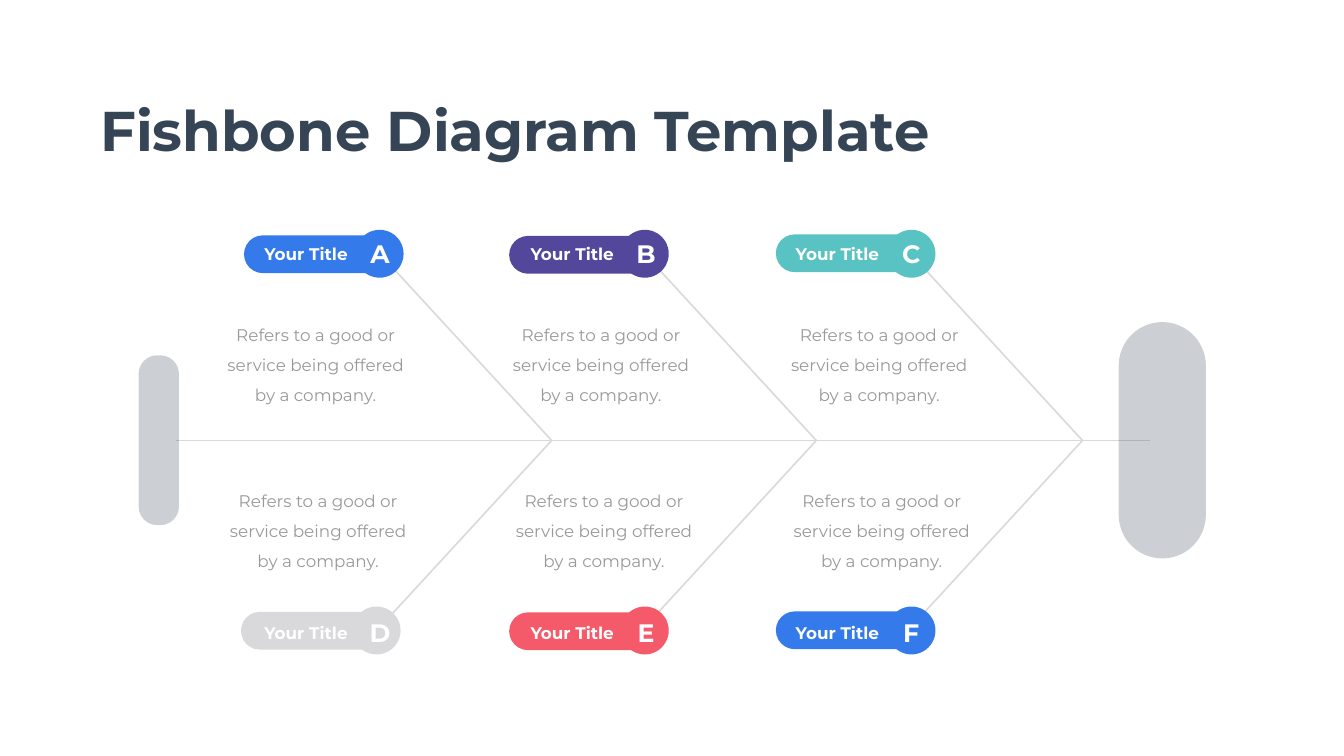
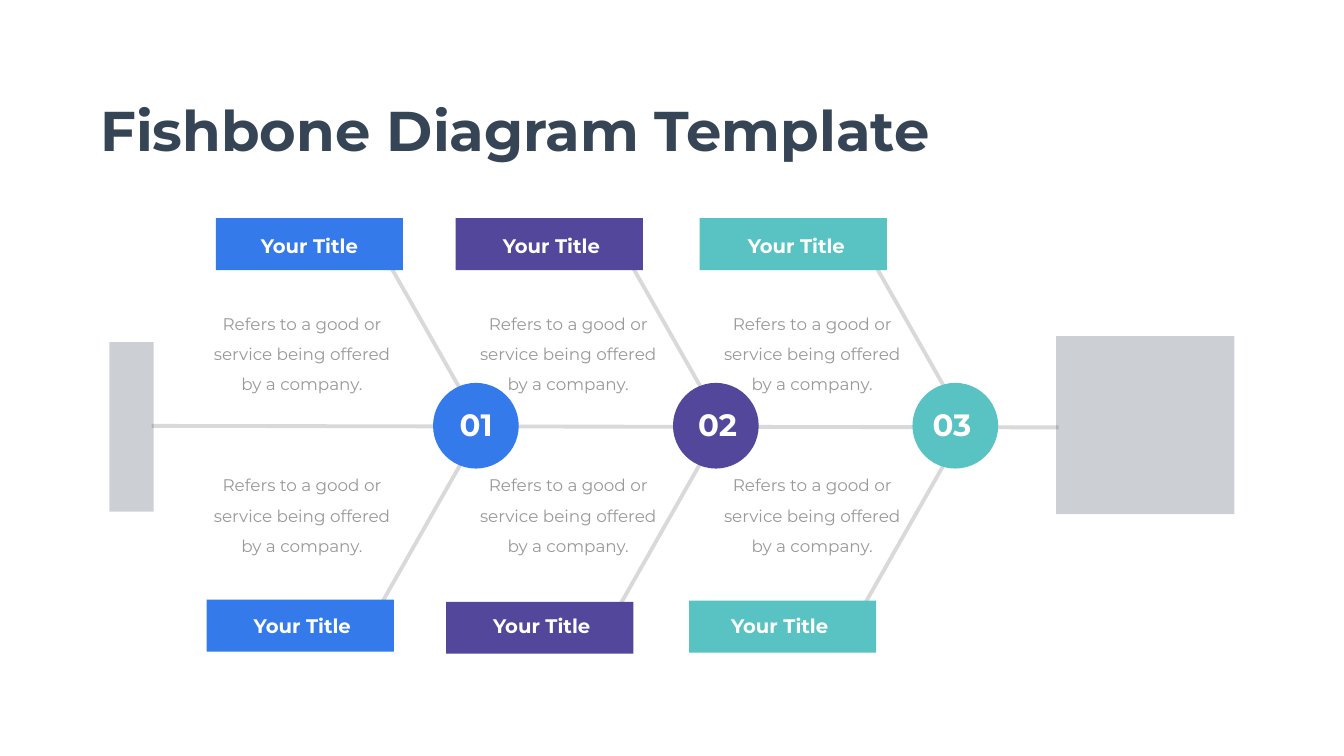
from lxml import etree
from pptx import Presentation
from pptx.dml.color import RGBColor
from pptx.enum.shapes import MSO_CONNECTOR, MSO_SHAPE
from pptx.enum.text import MSO_AUTO_SIZE, PP_ALIGN
from pptx.oxml.ns import qn
from pptx.util import Pt

STRAIGHT = MSO_CONNECTOR.STRAIGHT
OVAL = MSO_SHAPE.OVAL
RECTANGLE = MSO_SHAPE.RECTANGLE
ROUNDED = MSO_SHAPE.ROUNDED_RECTANGLE
GROW = MSO_AUTO_SIZE.SHAPE_TO_FIT_TEXT
LEFT = PP_ALIGN.LEFT
CENTER = PP_ALIGN.CENTER

NAVY = RGBColor(0x36, 0x45, 0x56)
BLUE = RGBColor(0x34, 0x7A, 0xEB)
PURPLE = RGBColor(0x52, 0x47, 0x9B)
TEAL = RGBColor(0x58, 0xC3, 0xC2)
RED = RGBColor(0xF4, 0x5A, 0x69)
SILVER = RGBColor(0xD9, 0xD8, 0xDA)
BONE = RGBColor(0xD9, 0xD9, 0xD9)
GRAY = RGBColor(0x99, 0x99, 0x99)
WHITE = RGBColor(0xFF, 0xFF, 0xFF)

FONT = "Montserrat"
TITLE = "Fishbone Diagram Template"
LABEL = "Your Title"
DESCRIPTION = "Refers to a good or service being offered by a company."


def add_block(slide, kind, box, color, opacity=100, corner=0.5):
    shape = slide.shapes.add_shape(kind, *[Pt(value) for value in box])
    shape.shadow.inherit = False
    shape.fill.solid()
    shape.fill.fore_color.rgb = color
    shape.line.fill.background()
    if kind == ROUNDED:
        shape.adjustments[0] = corner
    if opacity < 100:
        color_element = shape._element.spPr.find(qn("a:solidFill"))[0]
        etree.SubElement(color_element, qn("a:alpha"), val=str(opacity * 1000))


def add_text(slide, text, box, size, color=WHITE, bold=True, align=CENTER, wrap=True):
    text_box = slide.shapes.add_textbox(*[Pt(value) for value in box])
    frame = text_box.text_frame
    frame.word_wrap = wrap
    frame.auto_size = GROW
    paragraph = frame.paragraphs[0]
    paragraph.alignment = align
    run = paragraph.add_run()
    run.text = text
    run.font.name = FONT
    run.font.size = Pt(size)
    run.font.bold = bold
    run.font.color.rgb = color
    return text_box


presentation = Presentation()
presentation.slide_width = Pt(1919.5)
presentation.slide_height = Pt(1080)

diagrams = [
    {
        "spine": (1642.3, 629.3, 251.3, 629.3),
        "weight": 2.3,
        "ribs": [(1301, 362.9), (920.9, 362.9), (542.9, 362.9)],
        "rib_size": (245, 532.8),
        "ends": ROUNDED,
        "tail": (198, 507.6, 57.6, 242.6),
        "head": (1597.7, 460.1, 124.6, 337.7),
        "descriptions": [
            (440.6, (301.7, 709.2, 1106.6)),
            (678.2, (305.3, 713.5, 1110.2)),
        ],
    },
    {
        "spine": (1512, 610.6, 216.7, 608.4),
        "weight": 5.5,
        "ribs": [(1229, 342), (880.6, 341.3), (537.1, 344.2)],
        "rib_size": (150.9, 531.4),
        "ends": RECTANGLE,
        "tail": (156.2, 488.9, 63.4, 241.9),
        "head": (1508.4, 480.2, 254.6, 254.2),
        "descriptions": [
            (425.5, (282.2, 662.4, 1010.9)),
            (655.9, (282.2, 662.4, 1010.9)),
        ],
    },
]

slides = []
for diagram in diagrams:
    slide = presentation.slides.add_slide(presentation.slide_layouts[6])
    slides.append(slide)

    spine = slide.shapes.add_connector(STRAIGHT, *[Pt(value) for value in diagram["spine"]])
    spine.line.color.rgb = BONE
    spine.line.width = Pt(diagram["weight"])
    etree.SubElement(spine._element.spPr, qn("a:effectLst"))

    width, height = diagram["rib_size"]
    for left, top in diagram["ribs"]:
        builder = slide.shapes.build_freeform(Pt(left), Pt(top))
        builder.add_line_segments(
            [(Pt(left + width), Pt(top + height / 2)), (Pt(left), Pt(top + height))],
            close=False,
        )
        rib = builder.convert_to_shape()
        rib.shadow.inherit = False
        rib.fill.background()
        rib.line.color.rgb = BONE
        rib.line.width = Pt(diagram["weight"])

    add_block(slide, diagram["ends"], diagram["tail"], NAVY, 25, 0.46)
    add_block(slide, diagram["ends"], diagram["head"], NAVY, 25)

    for top, lefts in diagram["descriptions"]:
        for left in lefts:
            description = add_text(
                slide, DESCRIPTION, (left, top, 298, 142.6), 24, GRAY, False
            )
            frame = description.text_frame
            frame.margin_left = frame.margin_right = Pt(17.28)
            frame.margin_top = frame.margin_bottom = Pt(8.64)
            frame.paragraphs[0].line_spacing = Pt(43)

    add_text(slide, TITLE, (136.1, 133.2, 1203.1, 104.4), 80, NAVY, align=LEFT, wrap=False)

letter_slide, number_slide = slides

pill_rows = [
    (328.3, 344.2, [
        ("A", BLUE, 348.5, 336.2),
        ("B", PURPLE, 727.2, 337),
        ("C", TEAL, 1108.1, 334.8),
    ]),
    (866.5, 885.6, [
        ("D", SILVER, 344.2, 874.1),
        ("E", RED, 727.2, 874.8),
        ("F", BLUE, 1108.1, 873.4),
    ]),
]
label_lefts = (357.1, 737.3, 1116)
for circle_top, label_top, pills in pill_rows:
    for label_left, (letter, color, left, top) in zip(label_lefts, pills):
        add_block(letter_slide, ROUNDED, (left, top, 203, 54), color)
        add_block(letter_slide, OVAL, (left + 159.5, circle_top, 68.4, 68.4), color)
        add_text(letter_slide, LABEL, (label_left, label_top, 159.8, 36), 24)
        add_text(letter_slide, letter, (label_left + 150.2, label_top - 8, 70.6, 51.1), 36)

joints = [
    ("01", BLUE, 618.5, 622.8),
    ("02", PURPLE, 961.2, 967.7),
    ("03", TEAL, 1303.2, 1302.5),
]
for number, color, left, number_left in joints:
    add_block(number_slide, OVAL, (left, 547, 122.4, 122.4), color)
    add_text(number_slide, number, (number_left, 576, 114.5, 60.5), 44)

banners = [
    (BLUE, 308.2, 311.8, 333.4, 330.5),
    (PURPLE, 650.9, 311.8, 679, 330.5),
    (TEAL, 999.4, 311.8, 1028.9, 330.5),
    (BLUE, 295.2, 856.8, 323.3, 873.4),
    (PURPLE, 637.2, 859.7, 665.3, 873.4),
    (TEAL, 984.2, 858.2, 1005.1, 873.4),
]
for color, left, top, label_left, label_top in banners:
    add_block(number_slide, RECTANGLE, (left, top, 267.3, 74.2), color)
    add_text(number_slide, LABEL, (label_left, label_top, 216.7, 41), 28)

presentation.save("out.pptx")
